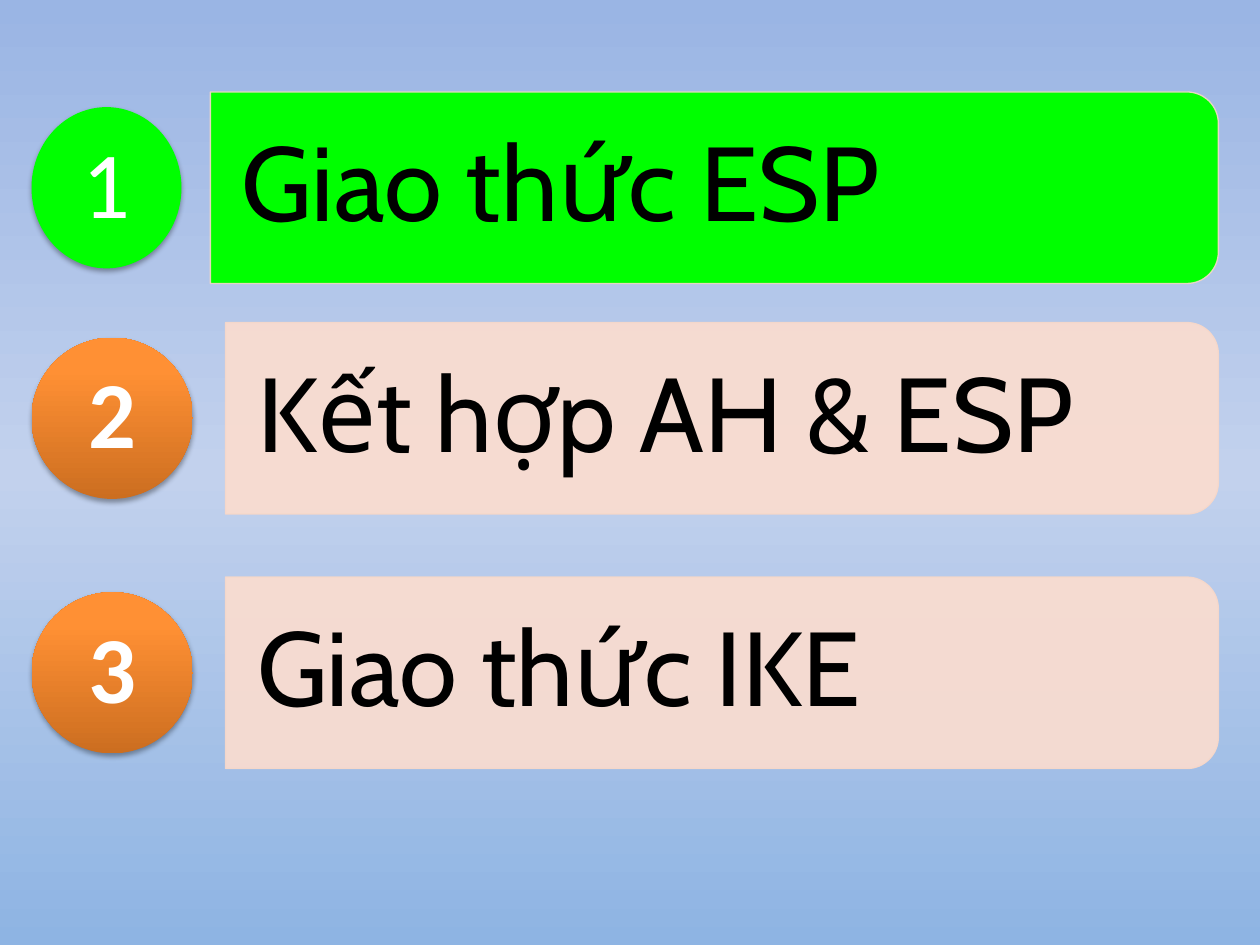
import math
from dataclasses import dataclass

import pptx
import pptx.dml.color
import pptx.enum.shapes
import pptx.enum.text
import pptx.oxml.ns
import pptx.oxml.xmlchemy
import pptx.util
from lxml import etree

Inches = pptx.util.Inches
Pt = pptx.util.Pt
qn = pptx.oxml.ns.qn

GREEN, PEACH, BORDER = "00FF00", "FCDDCF", "F8D8C9"
BLACK, WHITE = "000000", "FFFFFF"
BACKGROUND_STOPS = [(0, "9AB5E4"), (50, "C2D1ED"), (100, "8EB4E3")]
ORANGE_STOPS = [(0, "CC6E20"), (80, "FF9034"), (100, "FF9136")]

BAR_RIGHT, BAR_HEIGHT, CORNER_RADIUS = 9.67, 1.52, 0.25
CIRCLE_LEFT, CIRCLE_HEIGHT = 0.25, 1.28
ARC_STEPS = 16


@dataclass
class AgendaItem:
    number: str
    title: str
    top: float
    bar_left: float = 1.79
    circle_width: float = 1.28
    current: bool = False


AGENDA = [
    AgendaItem("1", "Giao thức ESP", 0.73, bar_left=1.67, circle_width=1.19, current=True),
    AgendaItem("2", "Kết hợp AH & ESP", 2.56),
    AgendaItem("3", "Giao thức IKE", 4.58),
]


def rgb(color: str) -> pptx.dml.color.RGBColor:
    return pptx.dml.color.RGBColor.from_string(color)


def add_color(parent, color: str, alpha: int = 100) -> None:
    element = etree.SubElement(parent, qn("a:srgbClr"), val=color)
    if alpha < 100:
        etree.SubElement(element, qn("a:alpha"), val=str(alpha * 1000))


def set_solid(fill, owner, color: str, alpha: int = 100) -> None:
    """Fill with a colour; owner is the XML element that holds the fill."""
    fill.solid()
    fill.fore_color.rgb = rgb(color)
    if alpha < 100:
        color_element = owner.find(qn("a:solidFill")).find(qn("a:srgbClr"))
        etree.SubElement(color_element, qn("a:alpha"), val=str(alpha * 1000))


def set_gradient(fill, owner, stops: list, angle: int) -> None:
    """Replace the default stops; angle runs counter-clockwise."""
    fill.gradient()
    fill.gradient_angle = angle
    stop_list = next(owner.iter(qn("a:gsLst")))
    for stop in list(stop_list):
        stop_list.remove(stop)
    for position, color in stops:
        stop = etree.SubElement(stop_list, qn("a:gs"), pos=str(position * 1000))
        add_color(stop, color)


def add_shadow(shape) -> None:
    effects = shape._element.spPr.find(qn("a:effectLst"))
    shadow = etree.SubElement(
        effects, qn("a:outerShdw"), blurRad=str(Pt(3.1)), dist=str(Pt(1.8)),
        dir=str(90 * 60000), rotWithShape="0",
    )
    add_color(shadow, BLACK, 35)


def set_text(shape, text: str, font_name: str, size: int, color: str,
             alignment, margins: tuple, bold: bool = False) -> None:
    frame = shape.text_frame
    frame.text = text
    frame.word_wrap = True
    frame.vertical_anchor = pptx.enum.text.MSO_ANCHOR.MIDDLE
    (frame.margin_left, frame.margin_top,
     frame.margin_right, frame.margin_bottom) = map(Inches, margins)
    paragraph = frame.paragraphs[0]
    paragraph.alignment = alignment
    paragraph.line_spacing = 0.9
    space_after = etree.SubElement(paragraph._p.get_or_add_pPr(), qn("a:spcAft"))
    etree.SubElement(space_after, qn("a:spcPct"), val="35000")
    font = paragraph.runs[0].font
    font.name, font.size, font.bold = font_name, Pt(size), bold
    font.color.rgb = rgb(color)


def add_bar(slide, item: AgendaItem) -> None:
    """Draw a bar whose two right corners are rounded."""
    bottom = item.top + BAR_HEIGHT
    center_x = BAR_RIGHT - CORNER_RADIUS
    points = []
    for center_y, start in ((item.top + CORNER_RADIUS, -90), (bottom - CORNER_RADIUS, 0)):
        for step in range(ARC_STEPS + 1):
            angle = math.radians(start + 90 * step / ARC_STEPS)
            points.append((Inches(center_x + CORNER_RADIUS * math.cos(angle)),
                           Inches(center_y + CORNER_RADIUS * math.sin(angle))))
    points.append((Inches(item.bar_left), Inches(bottom)))
    builder = slide.shapes.build_freeform(Inches(item.bar_left), Inches(item.top))
    builder.add_line_segments(points, close=True)
    bar = builder.convert_to_shape()
    bar.name = f"Bar {item.number}"
    bar.shadow.inherit = False
    properties = bar._element.spPr
    if item.current:
        set_solid(bar.fill, properties, GREEN)
    else:
        set_solid(bar.fill, properties, PEACH, 90)
    bar.line.width = Pt(0.75)
    set_solid(bar.line.fill, properties.find(qn("a:ln")), BORDER, 90)
    set_text(bar, item.title, "Cabin", 60, BLACK,
             pptx.enum.text.PP_ALIGN.LEFT, (0.25, 0.24, 0.32, 0.24))


def add_circle(slide, item: AgendaItem) -> None:
    top = item.top + (BAR_HEIGHT - CIRCLE_HEIGHT) / 2
    circle = slide.shapes.add_shape(
        pptx.enum.shapes.MSO_SHAPE.OVAL, Inches(CIRCLE_LEFT), Inches(top),
        Inches(item.circle_width), Inches(CIRCLE_HEIGHT),
    )
    circle.name = f"Number {item.number}"
    circle.shadow.inherit = False
    circle.line.fill.background()
    if item.current:
        set_solid(circle.fill, circle._element.spPr, GREEN)
    else:
        set_gradient(circle.fill, circle._element.spPr, ORANGE_STOPS, 90)
    add_shadow(circle)
    set_text(circle, item.number, "Calibri", 54, WHITE,
             pptx.enum.text.PP_ALIGN.CENTER, (0, 0, 0, 0), bold=not item.current)


def main() -> None:
    presentation = pptx.Presentation()
    presentation.slide_width, presentation.slide_height = Inches(10), Inches(7.5)
    slide = presentation.slides.add_slide(presentation.slide_layouts[6])
    set_gradient(slide.background.fill, slide._element, BACKGROUND_STOPS, 270)
    for item in AGENDA:
        add_bar(slide, item)
        add_circle(slide, item)
    presentation.save("out.pptx")


if __name__ == "__main__":
    main()
